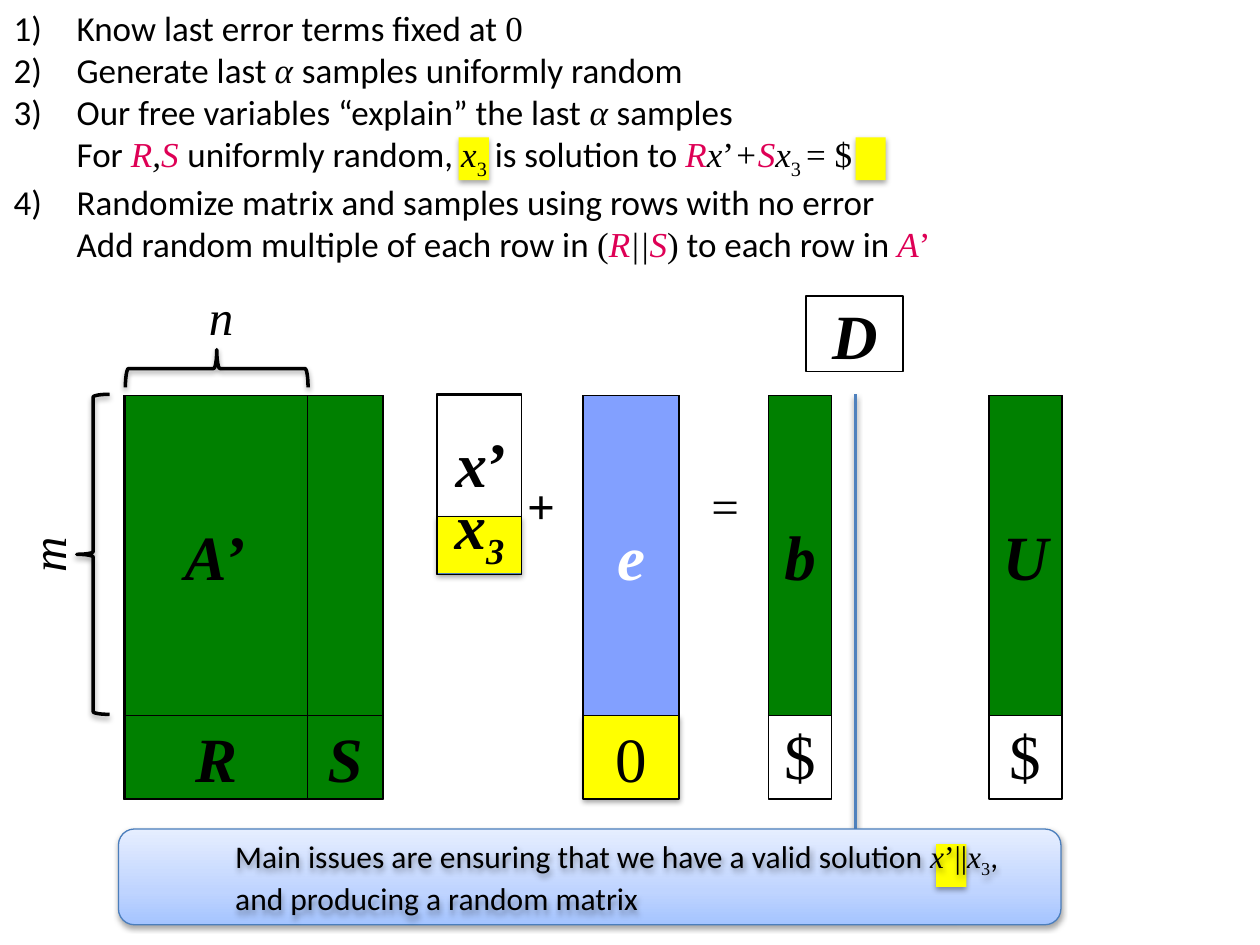
from copy import deepcopy
from dataclasses import dataclass

from lxml import etree
from pptx import Presentation
from pptx import util as u
from pptx.dml.color import RGBColor
from pptx.enum import shapes, text
from pptx.oxml.ns import qn

PX = 9144


@dataclass(frozen=True)
class Theme:
    body: str = "Calibri"
    math: str = "Times New Roman"
    ink: str = "000000"
    white: str = "FFFFFF"
    red: str = "DE0055"
    green: str = "008000"
    blue: str = "82A0FF"
    yellow: str = "FFFF00"
    edge: str = "4B7EBC"
    divider: str = "4F81BD"
    gradient: tuple = ((0, "A4C4FF"), (0.35, "BFD4FF"), (1, "E6EEFF"))
    symbol: int = 36
    label: int = 28
    step: int = 20
    note: int = 18


T = Theme()
RECT = shapes.MSO_SHAPE.RECTANGLE
ROUND = shapes.MSO_SHAPE.ROUNDED_RECTANGLE
BRACE = shapes.MSO_SHAPE.LEFT_BRACE


def px(*lengths):
    """Turn px into EMU."""
    return [u.Emu(n * PX) for n in lengths]


def rgb(color):
    """Return a colour object."""
    return RGBColor.from_string(color)


def add_shadow(sp, alpha=35):
    """Give a shape or connector a soft shadow below it."""
    spPr = sp._element.spPr
    effects = spPr.find(qn("a:effectLst"))
    if effects is None:
        effects = etree.SubElement(spPr, qn("a:effectLst"))
    outer = etree.SubElement(effects, qn("a:outerShdw"), blurRad="40000",
                             dist="22000", dir="5400000", rotWithShape="0")
    color = etree.SubElement(outer, qn("a:srgbClr"), val=T.ink)
    etree.SubElement(color, qn("a:alpha"), val=str(alpha * 1000))


def add_runs(p, runs, size):
    """Add (text, flags) runs: m math, i italic, b bold, r red, w white, s subscript."""
    for words, flags in runs:
        if words == "\n":
            p.add_line_break()
            continue
        r = p.add_run()
        r.text = words
        r.font.size = u.Pt(size)
        r.font.name = T.math if "m" in flags else T.body
        r.font.italic = "i" in flags
        r.font.bold = "b" in flags
        r.font.color.rgb = rgb(T.red if "r" in flags else T.white if "w" in flags else T.ink)
        if "s" in flags:
            r._r.get_or_add_rPr().set("baseline", "-25000")


def add_block(parent, x, y, w, h, fill=None, line=None, width=1, kind=RECT, shadow=False):
    """Add a preset shape with its fill, outline and shadow."""
    sp = parent.shapes.add_shape(kind, *px(x, y, w, h))
    sp.shadow.inherit = False
    if fill:
        sp.fill.solid()
        sp.fill.fore_color.rgb = rgb(fill)
    else:
        sp.fill.background()
    if line:
        sp.line.color.rgb = rgb(line)
        sp.line.width = u.Pt(width)
    else:
        sp.line.fill.background()
    if shadow:
        add_shadow(sp)
    return sp


def write(sp, runs, size=T.symbol):
    """Centre a symbol in a shape."""
    tf = sp.text_frame
    tf.margin_left = tf.margin_right = tf.margin_top = tf.margin_bottom = 0
    tf.vertical_anchor = text.MSO_ANCHOR.MIDDLE
    tf.word_wrap = False
    p = tf.paragraphs[0]
    p.alignment = text.PP_ALIGN.CENTER
    add_runs(p, runs, size)
    return sp


def add_label(parent, x, y, w, h, runs, size=T.label):
    """Add a centred text box."""
    return write(parent.shapes.add_textbox(*px(x, y, w, h)), runs, size)


def add_highlight(slide, x, y):
    """Add a yellow marker behind a variable."""
    add_block(slide, x, y, 24, 34, T.yellow, shadow=True)


def add_steps(slide, x, y, w, h):
    """Add the numbered steps; unnumbered lines continue the step above."""
    for dx in (363, 678):
        add_highlight(slide, x + dx, y + 109)
    steps = [
        (True, [("Know last error terms fixed at ", ""), ("0", "m")]),
        (True, [("Generate last ", ""), ("α ", "mi"), ("samples uniformly random", "")]),
        (True, [("Our free variables “explain” the last ", ""), ("α ", "mi"), ("samples", "")]),
        (False, [("For ", ""), ("R", "mir"), (",", "mi"), ("S ", "mir"),
                 ("uniformly random, ", ""), ("x", "mi"), ("3", "ms"),
                 (" is solution to ", ""), ("R", "mir"), ("x", "mi"), ("’", "m"),
                 ("+", "mi"), ("S", "mir"), ("x", "mi"), ("3 ", "ms"), ("= $", "m")]),
        (True, [("Randomize matrix and samples using rows with no error", "")]),
        (False, [("Add random multiple of each row in ", ""), ("(", "m"), ("R", "mir"),
                 ("||", "mi"), ("S", "mir"), (")", "m"), (" to each row in ", ""),
                 ("A", "mir"), ("’", "mr")]),
    ]
    tf = slide.shapes.add_textbox(*px(x, y, w, h)).text_frame
    tf.word_wrap = True
    for i, (numbered, runs) in enumerate(steps):
        p = tf.add_paragraph() if i else tf.paragraphs[0]
        pPr = p._p.get_or_add_pPr()
        pPr.set("marL", str(50 * PX))
        pPr.set("indent", str(-50 * PX if numbered else 0))
        if numbered:
            etree.SubElement(pPr, qn("a:buAutoNum"), type="arabicParenR")
        else:
            p.level = 1
            etree.SubElement(pPr, qn("a:buNone"))
        add_runs(p, runs, T.step)


def add_brace(slide, x, y, w, h, name, name_box, brace_turn=0, name_turn=0):
    """Group a brace with the dimension it measures."""
    grp = slide.shapes.add_group_shape()
    brace = add_block(grp, x, y, w, h, line=T.ink, width=2, kind=BRACE, shadow=True)
    brace.rotation = brace_turn
    add_label(grp, *name_box, [(name, "mi")]).rotation = name_turn


def add_matrix(slide, x, y, w, h):
    """Add the matrix blocks with their dimension braces."""
    top, left = 254, 146
    for dx, dy, bw, bh, runs in (
            (1, top, left - 1, h - top, [("R", "mbi")]),
            (left, top, w - left, h - top, [("S", "mbi")]),
            (left, 0, w - left, top, []),
            (1, 0, left - 1, top, [("A", "mbi"), ("’", "mb")])):
        write(add_block(slide, x + dx, y + dy, bw, bh, T.green, T.ink), runs)
    add_block(slide, x, y, w, h, line=T.ink)
    add_brace(slide, x + 59, y - 94, 30, 145, "n", (x + 56, y - 92, 43, 57), brace_turn=90)
    add_brace(slide, x - 37, y - 1, 26, top, "m", (x - 92, y + 98, 62, 57), name_turn=270)


def add_unknowns(slide, x, y, w, h):
    """Add the solution vector, split into its two parts."""
    top = 97
    add_block(slide, x, y + top, w, h - top - 1, T.yellow, T.edge, 0.75, shadow=True)
    add_label(slide, x, y + 86, w, 42, [("x", "mbi"), ("3", "mbis")], T.symbol)
    grp = slide.shapes.add_group_shape()
    add_block(grp, x, y + 1, w, top - 1, line=T.ink)
    add_label(grp, x + 2, y + 9, w, 89, [("x", "mbi"), ("’", "mb")], T.symbol)
    add_block(grp, x, y, w, h, line=T.ink)


def add_column(slide, x, y, w, h, fill, name, flags, tail, tail_fill=None):
    """Add a column vector with a named upper part and a short lower part."""
    top = 254
    lower = (x, y + top, w, h - top)
    if tail_fill:
        write(add_block(slide, *lower, tail_fill, T.edge, 0.75, shadow=True), [(tail, "m")])
    else:
        add_label(slide, x, y + 249, w, 71, [(tail, "m")], T.symbol)
    write(add_block(slide, x, y, w, top, fill, T.ink), [(name, flags)])
    add_block(slide, x, y, w, h, line=T.ink)


def add_divider(slide, x, y, h):
    """Add the vertical line between the two distributions."""
    line = slide.shapes.add_connector(shapes.MSO_CONNECTOR.STRAIGHT, *px(x, y, x, y + h))
    line.line.color.rgb = rgb(T.divider)
    line.line.width = u.Pt(2)
    add_shadow(line, 38)


def add_callout(slide, x, y, w, h):
    """Add the gradient panel with the closing remark."""
    panel = add_block(slide, x, y, w, h, line=T.edge, width=0.75, kind=ROUND, shadow=True)
    panel.fill.gradient()
    panel.fill.gradient_angle = 90
    stops = panel._element.spPr.find(".//" + qn("a:gsLst"))
    stops.insert(1, deepcopy(stops[0]))
    for stop, (position, color) in zip(panel.fill.gradient_stops, T.gradient):
        stop.position = position
        stop.color.rgb = rgb(color)
    add_highlight(slide, x + 649, y + 12)
    note = add_block(slide, x - 3, y, w, h, kind=ROUND, shadow=True)
    tf = note.text_frame
    tf.word_wrap = True
    tf.vertical_anchor = text.MSO_ANCHOR.MIDDLE
    tf.margin_left = tf.margin_right = tf.margin_top = tf.margin_bottom = px(5)[0]
    p = tf.paragraphs[0]
    p.alignment = text.PP_ALIGN.LEFT
    p._p.get_or_add_pPr().set("marL", str(87 * PX))
    add_runs(p, [("Main issues are ensuring that we have a valid solution ", ""), ("x", "mi"),
                 ("’||", "m"), ("x", "mi"), ("3", "ms"), (",", ""), ("\n", ""),
                 ("and producing a random matrix", "")], T.note)


def main():
    """Build the slide and save it."""
    prs = Presentation()
    prs.slide_width, prs.slide_height = px(1000, 750)
    slide = prs.slides.add_slide(prs.slide_layouts[6])
    add_steps(slide, 1, 0, 812, 252)
    write(add_block(slide, 640, 235, 77, 60, line=T.ink), [("D", "mbi")])
    add_matrix(slide, 98, 314, 206, 320)
    add_unknowns(slide, 347, 313, 67, 143)
    add_label(slide, 408, 372, 43, 57, [("+", "mb")])
    add_divider(slide, 679, 313, 357)
    add_column(slide, 463, 314, 76, 320, T.blue, "e", "mbiw", "0", T.yellow)
    add_label(slide, 554, 372, 43, 57, [("=", "m")])
    add_column(slide, 610, 314, 50, 320, T.green, "b", "mbi", "$")
    add_callout(slide, 94, 658, 748, 76)
    add_column(slide, 785, 314, 58, 320, T.green, "U", "mbi", "$")
    prs.save("out.pptx")


if __name__ == "__main__":
    main()
